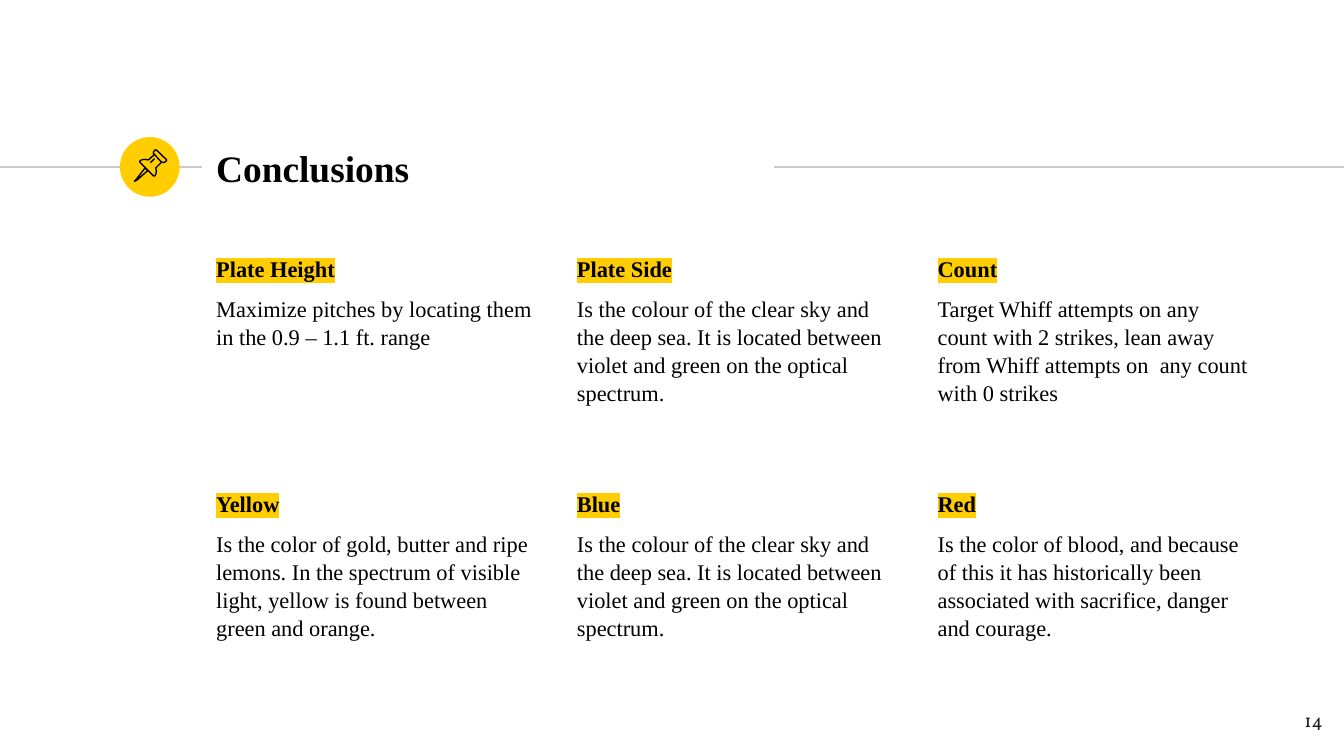
from dataclasses import dataclass
from typing import NamedTuple

from lxml.etree import SubElement
from pptx import Presentation
from pptx.dml.color import RGBColor
from pptx.enum.shapes import MSO_CONNECTOR, MSO_SHAPE
from pptx.enum.text import MSO_ANCHOR, PP_ALIGN
from pptx.oxml import parse_xml
from pptx.oxml.ns import nsdecls, qn
from pptx.util import Inches, Pt


@dataclass(frozen=True)
class Theme:
    accent: str = "FFCD00"
    rule: str = "CCCCCC"
    ink: str = "000000"
    number_ink: str = "1D1D1B"
    font: str = "Times New Roman"
    number_font: str = "Vollkorn"
    title_size: int = 20
    body_size: int = 12
    number_size: int = 10
    line_width: float = 0.75
    spacing: float = 1.05
    gap: int = 6


class Area(NamedTuple):
    left: float
    top: float
    width: float
    height: float


class Conclusion(NamedTuple):
    heading: str
    body: str


class Stroke(NamedTuple):
    points: list[tuple[int, int]]
    closed: bool


THEME = Theme()
WIDTH, HEIGHT = Inches(10), Inches(5.625)
RULE_TOP = 22.08
RULES = [(0, 15), (57.6, 100)]
BADGE_LEFT, BADGE_SIZE = 8.93, 4.44
FIRST_CELL = Area(15.1, 31.82, 25.5, 23.47)
COLUMN_STEP, ROW_STEP = 26.84, 31.11
COLUMNS = 3
MILLI_INCH = 914.4

CONCLUSIONS = [
    Conclusion("Plate Height", "Maximize pitches by locating them in the 0.9 – 1.1 ft. range"),
    Conclusion("Plate Side", "Is the colour of the clear sky and the deep sea. It is located "
               "between violet and green on the optical spectrum."),
    Conclusion("Count", "Target Whiff attempts on any count with 2 strikes, lean away "
               "from Whiff attempts on  any count with 0 strikes"),
    Conclusion("Yellow", "Is the color of gold, butter and ripe lemons. In the spectrum of "
               "visible light, yellow is found between green and orange."),
    Conclusion("Blue", "Is the colour of the clear sky and the deep sea. It is located "
               "between violet and green on the optical spectrum."),
    Conclusion("Red", "Is the color of blood, and because of this it has historically been "
               "associated with sacrifice, danger and courage."),
]

PIN = [
    Stroke([(1080, 1250), (1010, 1340), (1000, 1350), (1020, 1340), (1100, 1270)], True),
    Stroke([(1150, 1150), (1200, 1205), (1215, 1210), (1230, 1205), (1240, 1195),
            (1238, 1187), (1165, 1117), (1155, 1115), (1143, 1128), (1141, 1140)], True),
    Stroke([(1150, 1150), (1105, 1190), (1080, 1187), (1060, 1188), (1042, 1197),
            (1040, 1206), (1143, 1310), (1152, 1310), (1160, 1297), (1164, 1275),
            (1160, 1250), (1200, 1210)], False),
    Stroke([(1120, 1210), (1150, 1180)], False),
]


def across(percent: float) -> int:
    return round(WIDTH * percent / 100)


def down(percent: float) -> int:
    return round(HEIGHT * percent / 100)


def add_rule(page, start: float, end: float) -> None:
    rule = page.shapes.add_connector(MSO_CONNECTOR.STRAIGHT, across(start), down(RULE_TOP),
                                     across(end), down(RULE_TOP))
    rule.line.color.rgb = RGBColor.from_string(THEME.rule)
    rule.line.width = Pt(THEME.line_width)
    SubElement(rule._element.spPr, qn("a:effectLst"))


def add_badge(page) -> None:
    size = across(BADGE_SIZE)
    badge = page.shapes.add_shape(MSO_SHAPE.OVAL, across(BADGE_LEFT),
                                  down(RULE_TOP) - size // 2, size, size)
    badge.shadow.inherit = False
    badge.fill.solid()
    badge.fill.fore_color.rgb = RGBColor.from_string(THEME.accent)
    badge.line.fill.background()


def add_pin(page) -> None:
    pin = page.shapes.add_group_shape()
    for stroke in PIN:
        builder = pin.shapes.build_freeform(*stroke.points[0], scale=MILLI_INCH)
        builder.add_line_segments(stroke.points[1:], close=stroke.closed)
        part = builder.convert_to_shape()
        part.shadow.inherit = False
        part.fill.background()
        part.line.color.rgb = RGBColor.from_string(THEME.ink)
        part.line.width = Pt(THEME.line_width)


def add_box(page, area: Area, anchor=MSO_ANCHOR.TOP):
    box = page.shapes.add_textbox(across(area.left), down(area.top),
                                  across(area.width), down(area.height))
    frame = box.text_frame
    frame.word_wrap = True
    frame.vertical_anchor = anchor
    frame.margin_left = frame.margin_right = Inches(0.1)
    frame.margin_top = frame.margin_bottom = Inches(0.1)
    return frame


def write(para, text: str, *, size: int, bold: bool = False, font: str = THEME.font,
          color: str = THEME.ink, highlight: str | None = None,
          align=PP_ALIGN.LEFT, spacing: float = 1.0, before: int = 0) -> None:
    para.alignment = align
    para.line_spacing = spacing
    para.space_before = Pt(before)
    span = para.add_run()
    span.text = text
    span.font.size = Pt(size)
    span.font.bold = bold
    span.font.name = font
    span.font.color.rgb = RGBColor.from_string(color)
    if highlight:
        fill = span._r.get_or_add_rPr().find(qn("a:solidFill"))
        fill.addnext(parse_xml(f'<a:highlight {nsdecls("a")}>'
                               f'<a:srgbClr val="{highlight}"/></a:highlight>'))


def add_conclusion(page, conclusion: Conclusion, column: int, row: int) -> None:
    area = FIRST_CELL._replace(left=FIRST_CELL.left + column * COLUMN_STEP,
                               top=FIRST_CELL.top + row * ROW_STEP)
    frame = add_box(page, area)
    write(frame.paragraphs[0], conclusion.heading, size=THEME.body_size, bold=True,
          highlight=THEME.accent, spacing=THEME.spacing)
    write(frame.add_paragraph(), conclusion.body, size=THEME.body_size,
          spacing=THEME.spacing, before=THEME.gap)


def main() -> None:
    deck = Presentation()
    deck.slide_width, deck.slide_height = WIDTH, HEIGHT
    page = deck.slides.add_slide(deck.slide_layouts[6])

    for start, end in RULES:
        add_rule(page, start, end)
    add_badge(page)

    title = add_box(page, Area(15.1, 17.96, 42.4, 8.53), MSO_ANCHOR.MIDDLE)
    write(title.paragraphs[0], "Conclusions", size=THEME.title_size, bold=True)

    for index, conclusion in enumerate(CONCLUSIONS):
        row, column = divmod(index, COLUMNS)
        add_conclusion(page, conclusion, column, row)
    add_pin(page)

    number = add_box(page, Area(93.4, 92.27, 6, 7.64))
    write(number.paragraphs[0], "14", size=THEME.number_size, font=THEME.number_font,
          color=THEME.number_ink, align=PP_ALIGN.RIGHT)
    deck.save("out.pptx")


if __name__ == "__main__":
    main()
